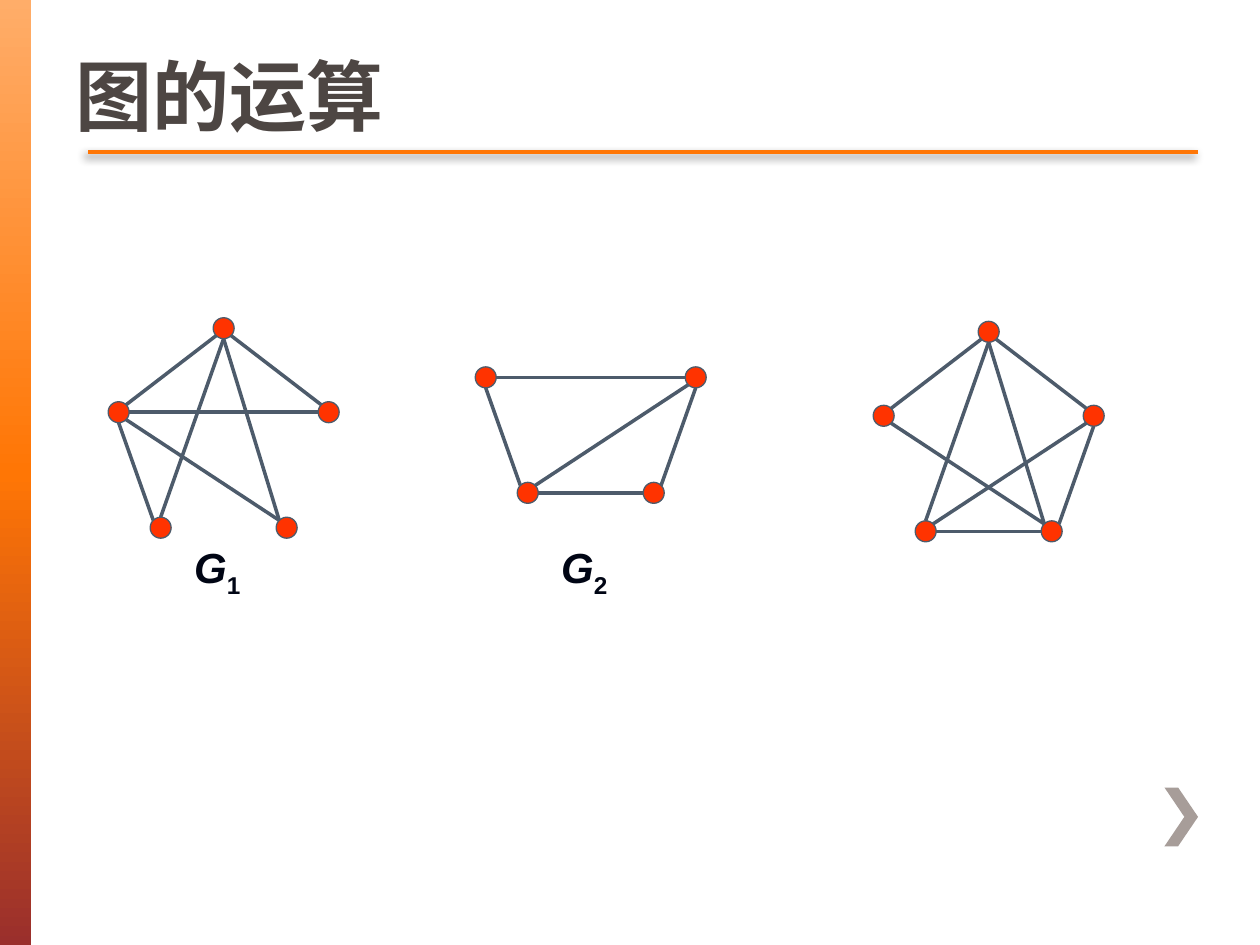
"""Build the slide on graph operations: two graphs and the result of combining them."""
import copy

import lxml.etree
import pptx
import pptx.dml.color
import pptx.enum.shapes
import pptx.enum.text
import pptx.oxml
import pptx.oxml.ns
import pptx.util

COLORS = {
    "rail_top": "FFAD69", "accent": "FF7605", "rail_bottom": "9A2F2C",
    "chevron": "A79D99", "vertex": "FF3300", "edge": "4D5B6B",
    "label": "000514", "title": "4D4643", "shadow": "000000",
}
COLUMNS, ROWS = 60, 45

deck = pptx.Presentation()
deck.slide_width = pptx.util.Inches(10)
deck.slide_height = pptx.util.Inches(7.5)
slide = deck.slides.add_slide(deck.slide_layouts[6])
CELL = deck.slide_width / COLUMNS


def cells(*counts):
    return [round(count * CELL) for count in counts]


def rgb(name):
    return pptx.dml.color.RGBColor.from_string(COLORS[name])


rail = slide.shapes.add_shape(
    pptx.enum.shapes.MSO_SHAPE.RECTANGLE, *cells(0, 0, 1.5, ROWS))
rail.shadow.inherit = False
rail.line.fill.background()
rail.fill.gradient()
rail.fill.gradient_angle = 270
first_stop = rail.fill._fill._gradFill.gsLst[0]
first_stop.addnext(copy.deepcopy(first_stop))
for stop, (color, position) in zip(
        rail.fill.gradient_stops,
        [("rail_top", 0), ("accent", 0.5), ("rail_bottom", 1)]):
    stop.color.rgb = rgb(color)
    stop.position = position

chevron_points = [(56.1, 37.5), (55.45, 37.5), (56.4, 38.9),
                  (55.45, 40.3), (56.1, 40.3), (57.05, 38.9)]
outline = slide.shapes.build_freeform(*cells(*chevron_points[0]), scale=1.0)
outline.add_line_segments([cells(*point) for point in chevron_points[1:]], close=True)
chevron = outline.convert_to_shape()
chevron.shadow.inherit = False
chevron.fill.solid()
chevron.fill.fore_color.rgb = rgb("chevron")
chevron.line.fill.background()

title_rule = slide.shapes.add_connector(
    pptx.enum.shapes.MSO_CONNECTOR.STRAIGHT, *cells(4.2, 7.25, 57.05, 7.25))
title_rule.line.color.rgb = rgb("accent")
title_rule.line.width = pptx.util.Pt(2.5)
title_rule._element.spPr.append(pptx.oxml.parse_xml(
    f'<a:effectLst {pptx.oxml.ns.nsdecls("a")}>'
    '<a:outerShdw blurRad="63500" dist="38100" dir="8100000">'
    f'<a:srgbClr val="{COLORS["shadow"]}"><a:alpha val="45000"/></a:srgbClr>'
    '</a:outerShdw></a:effectLst>'))

VERTICES = {"top": (0, 0), "left": (-5, 4), "right": (5, 4),
            "lower_left": (-3, 9.5), "lower_right": (3, 9.5)}
SITES = {"N": (0, -0.5), "NE": (0.35, -0.35), "E": (0.5, 0), "SE": (0.35, 0.35),
         "S": (0, 0.5), "SW": (-0.35, 0.35), "W": (-0.5, 0), "NW": (-0.35, -0.35)}
EDGES = {
    "left side": ("left", "S", "lower_left", "NW"),
    "right side": ("lower_right", "NE", "right", "S"),
    "base": ("lower_left", "E", "lower_right", "W"),
    "left roof": ("left", "NE", "top", "SW"),
    "right roof": ("right", "NW", "top", "SE"),
    "crossbar": ("left", "E", "right", "W"),
    "left leg": ("top", "S", "lower_left", "N"),
    "right leg": ("top", "S", "lower_right", "NW"),
    "falling": ("left", "SE", "lower_right", "NW"),
    "rising": ("lower_left", "NE", "right", "SW"),
}
GRAPHS = [
    ("1", 10.65, 15.63, ["top", "left", "right", "lower_left", "lower_right"],
     ["left side", "right roof", "left roof", "left leg", "right leg",
      "crossbar", "falling"]),
    ("2", 28.13, 13.97, ["left", "right", "lower_left", "lower_right"],
     ["left side", "base", "right side", "crossbar", "rising"]),
    ("", 47.08, 15.8, ["top", "left", "right", "lower_left", "lower_right"],
     ["base", "right side", "right roof", "left roof", "left leg", "right leg",
      "falling", "rising"]),
]

for index, apex_column, apex_row, vertices, edges in GRAPHS:
    graph = slide.shapes.add_group_shape().shapes
    for name in vertices:
        across, down = VERTICES[name]
        vertex = graph.add_shape(
            pptx.enum.shapes.MSO_SHAPE.FLOWCHART_CONNECTOR,
            *cells(apex_column + across - 0.5, apex_row + down - 0.5, 1, 1))
        vertex.shadow.inherit = False
        vertex.fill.solid()
        vertex.fill.fore_color.rgb = rgb("vertex")
        vertex.line.color.rgb = rgb("edge")
        vertex.line.width = pptx.util.Pt(0.75)
    for name in edges:
        start, start_site, end, end_site = EDGES[name]
        ends = [origin + place + offset
                for vertex_name, site in ((start, start_site), (end, end_site))
                for origin, place, offset in zip(
                    (apex_column, apex_row), VERTICES[vertex_name], SITES[site])]
        edge = graph.add_connector(
            pptx.enum.shapes.MSO_CONNECTOR.STRAIGHT, *cells(*ends))
        edge.line.color.rgb = rgb("edge")
        edge.line.width = pptx.util.Pt(2)
        lxml.etree.SubElement(edge._element.spPr, pptx.oxml.ns.qn("a:effectLst"))
    if index:
        label = slide.shapes.add_textbox(*cells(apex_column - 2, 25.5, 4.25, 3))
        label.text_frame.word_wrap = False
        for text, italic in (("G", True), (index, False)):
            symbol = label.text_frame.paragraphs[0].add_run()
            symbol.text = text
            label_format = {"name": "Arial", "size": pptx.util.Pt(24),
                            "bold": True, "italic": italic}
            for attribute, value in label_format.items():
                setattr(symbol.font, attribute, value)
            symbol.font.color.rgb = rgb("label")
        symbol.font._element.set("baseline", "-25000")

title = slide.shapes.add_textbox(*cells(3, 2.15, 54, 4.75))
title.text_frame.word_wrap = True
title.text_frame.vertical_anchor = pptx.enum.text.MSO_ANCHOR.MIDDLE
heading = title.text_frame.paragraphs[0].add_run()
heading.text = "图的运算"
title_format = {"name": "Noto Sans CJK SC", "size": pptx.util.Pt(44), "bold": True}
for attribute, value in title_format.items():
    setattr(heading.font, attribute, value)
heading.font.color.rgb = rgb("title")
lxml.etree.SubElement(heading.font._element, pptx.oxml.ns.qn("a:ea"),
                      typeface=title_format["name"])

deck.save("out.pptx")
